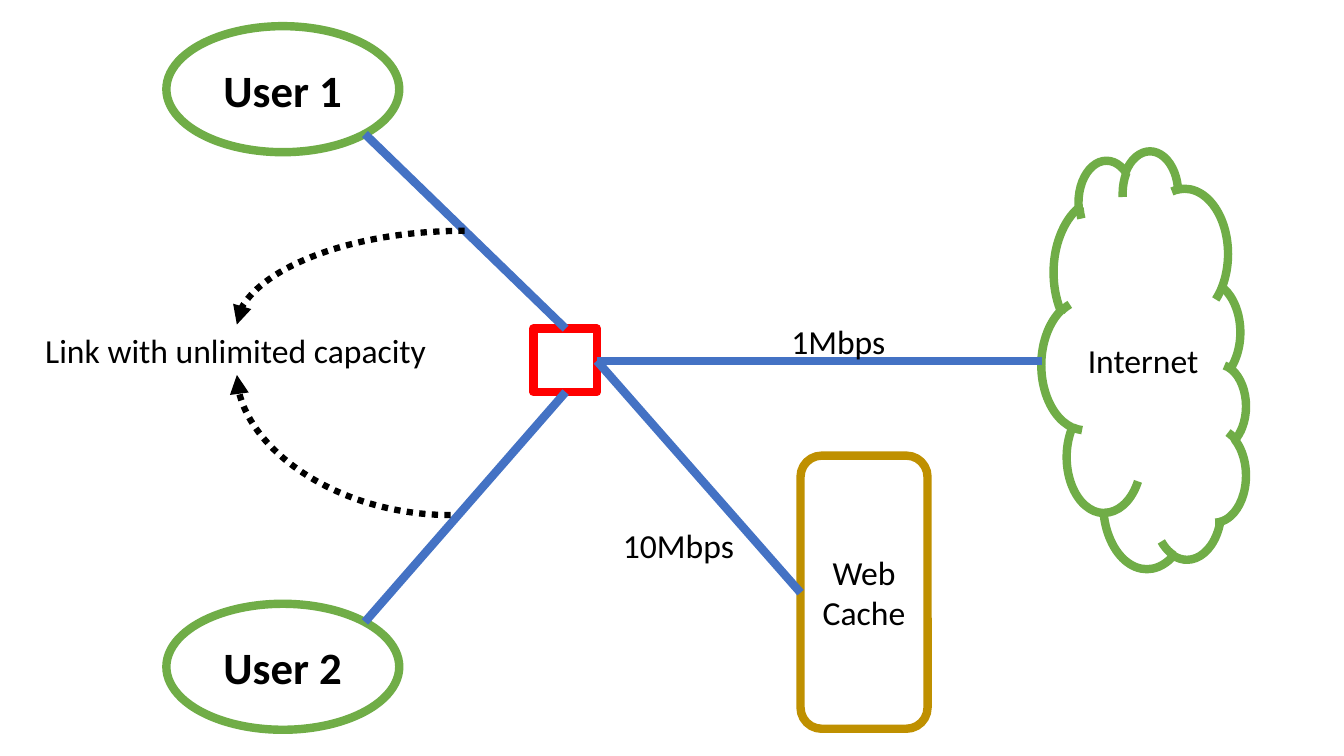
from pptx import Presentation
from pptx.dml.color import RGBColor
from pptx.enum.dml import MSO_LINE_DASH_STYLE as Dash
from pptx.enum.shapes import MSO_CONNECTOR as Link, MSO_SHAPE as Shape
from pptx.enum.text import MSO_ANCHOR as Anchor, MSO_AUTO_SIZE as AutoSize, PP_ALIGN as Align
from pptx.oxml.ns import qn
from pptx.util import Inches, Pt
from lxml.etree import SubElement

COLORS = {
    "white": "FFFFFF",
    "black": "000000",
    "green": "70AD47",
    "red": "FF0000",
    "blue": "4472C4",
    "gold": "BF9000",
}


class Diagram:
    font = "Calibri"
    outline = 6

    def __init__(self, slide):
        self.slide = slide

    def color(self, name):
        return RGBColor.from_string(COLORS[name])

    def add_span(self, para, text, size, bold=False):
        span = para.add_run()
        span.text = text
        span.font.name = self.font
        span.font.size = Pt(size)
        span.font.bold = bold
        span.font.color.rgb = self.color("black")

    def node(self, kind, left, top, width, height, color, text="", size=24, bold=False):
        shape = self.slide.shapes.add_shape(
            kind, Inches(left), Inches(top), Inches(width), Inches(height))
        shape.shadow.inherit = False
        shape.fill.solid()
        shape.fill.fore_color.rgb = self.color("white")
        shape.line.color.rgb = self.color(color)
        shape.line.width = Pt(self.outline)
        if text:
            frame = shape.text_frame
            frame.word_wrap = True
            frame.vertical_anchor = Anchor.MIDDLE
            para = frame.paragraphs[0]
            para.alignment = Align.CENTER
            self.add_span(para, text, size, bold)
        return shape

    def label(self, left, top, width, text):
        box = self.slide.shapes.add_textbox(
            Inches(left), Inches(top), Inches(width), Inches(0.5))
        frame = box.text_frame
        frame.word_wrap = False
        frame.auto_size = AutoSize.SHAPE_TO_FIT_TEXT
        self.add_span(frame.paragraphs[0], text, 24)

    def link(self, start, end, color="blue", width=6, kind=Link.STRAIGHT):
        line = self.slide.shapes.add_connector(
            kind, *(Inches(value) for value in (*start, *end)))
        line.line.color.rgb = self.color(color)
        line.line.width = Pt(width)
        SubElement(line._element.spPr, qn("a:effectLst"))
        return line

    def pointer(self, start, end):
        curve = self.link(start, end, "black", 4.5, Link.CURVE)
        curve.line.dash_style = Dash.ROUND_DOT
        properties = curve._element.spPr
        properties.find(qn("a:prstGeom")).set("prst", "curvedConnector2")
        SubElement(properties.find(qn("a:ln")), qn("a:tailEnd"), type="triangle")


def main():
    deck = Presentation()
    deck.slide_width, deck.slide_height = Inches(13.33), Inches(7.5)
    page = deck.slides.add_slide(deck.slide_layouts[6])
    diagram = Diagram(page)

    for name, top in (("User 1", 0.26), ("User 2", 5.99)):
        diagram.node(Shape.OVAL, 1.65, top, 2.31, 1.25, "green", name, 32, True)
    cloud = diagram.node(Shape.CLOUD, 9.28, 2.56, 4.14, 2.03, "green")
    cloud.rotation = 90
    diagram.node(Shape.RECTANGLE, 5.29, 3.26, 0.63, 0.63, "red")

    router_right = (5.92, 3.58)
    diagram.link((3.62, 1.33), (5.61, 3.26))
    diagram.link((5.61, 3.89), (3.62, 6.17))
    diagram.link(router_right, (10.33, 3.58))

    diagram.label(7.75, 3.13, 1.14, "1Mbps")
    diagram.label(0.35, 3.22, 4.01, "Link with unlimited capacity")
    diagram.label(10.69, 3.32, 1.31, "Internet")

    diagram.node(Shape.ROUNDED_RECTANGLE, 7.94, 4.52, 1.26, 2.71, "gold", "Web Cache")
    diagram.link((7.94, 5.88), router_right)
    diagram.label(6.08, 5.16, 1.31, "10Mbps")

    diagram.pointer((4.61, 2.29), (2.35, 3.22))
    diagram.pointer((4.47, 5.11), (2.35, 3.72))

    deck.save("out.pptx")


if __name__ == "__main__":
    main()
